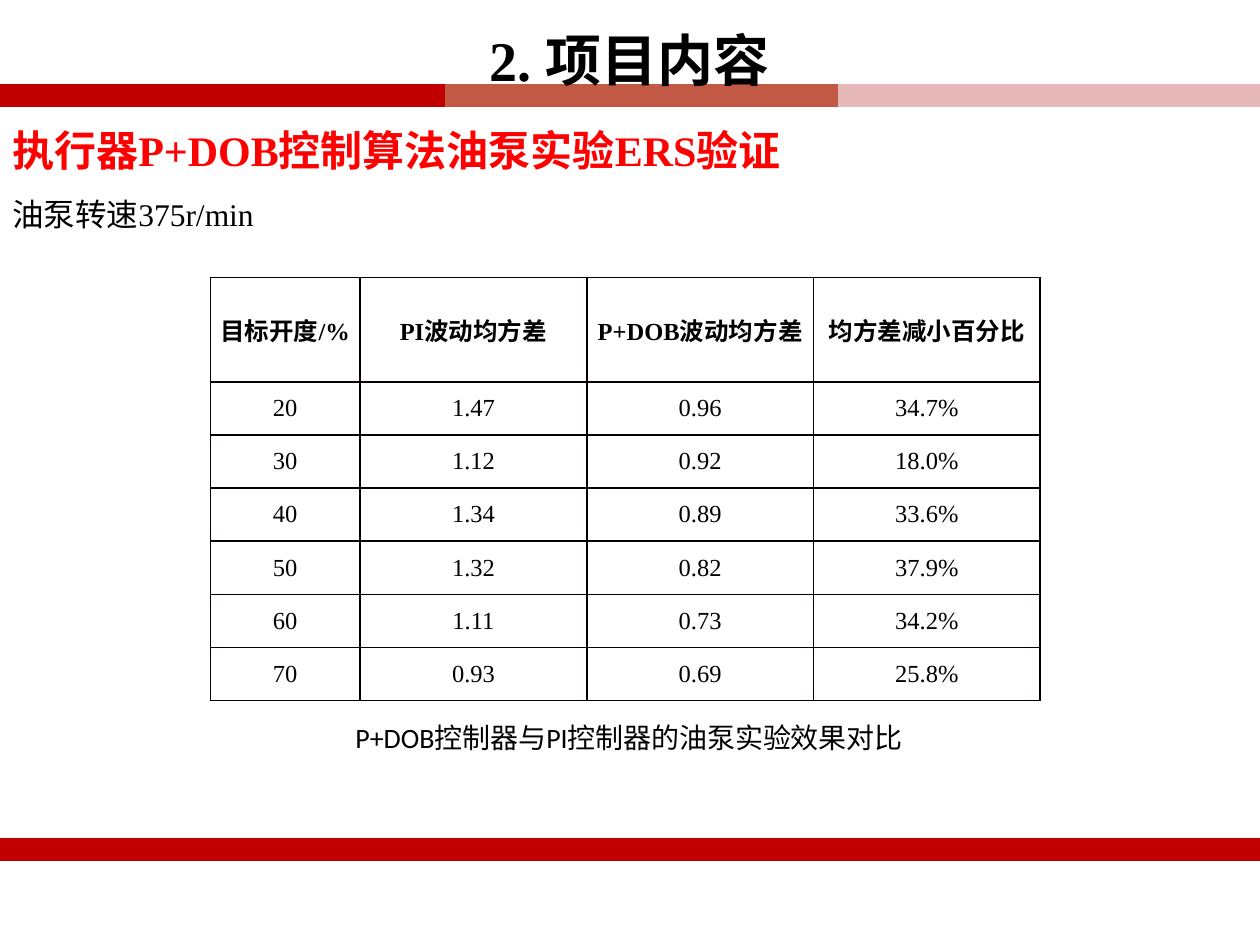
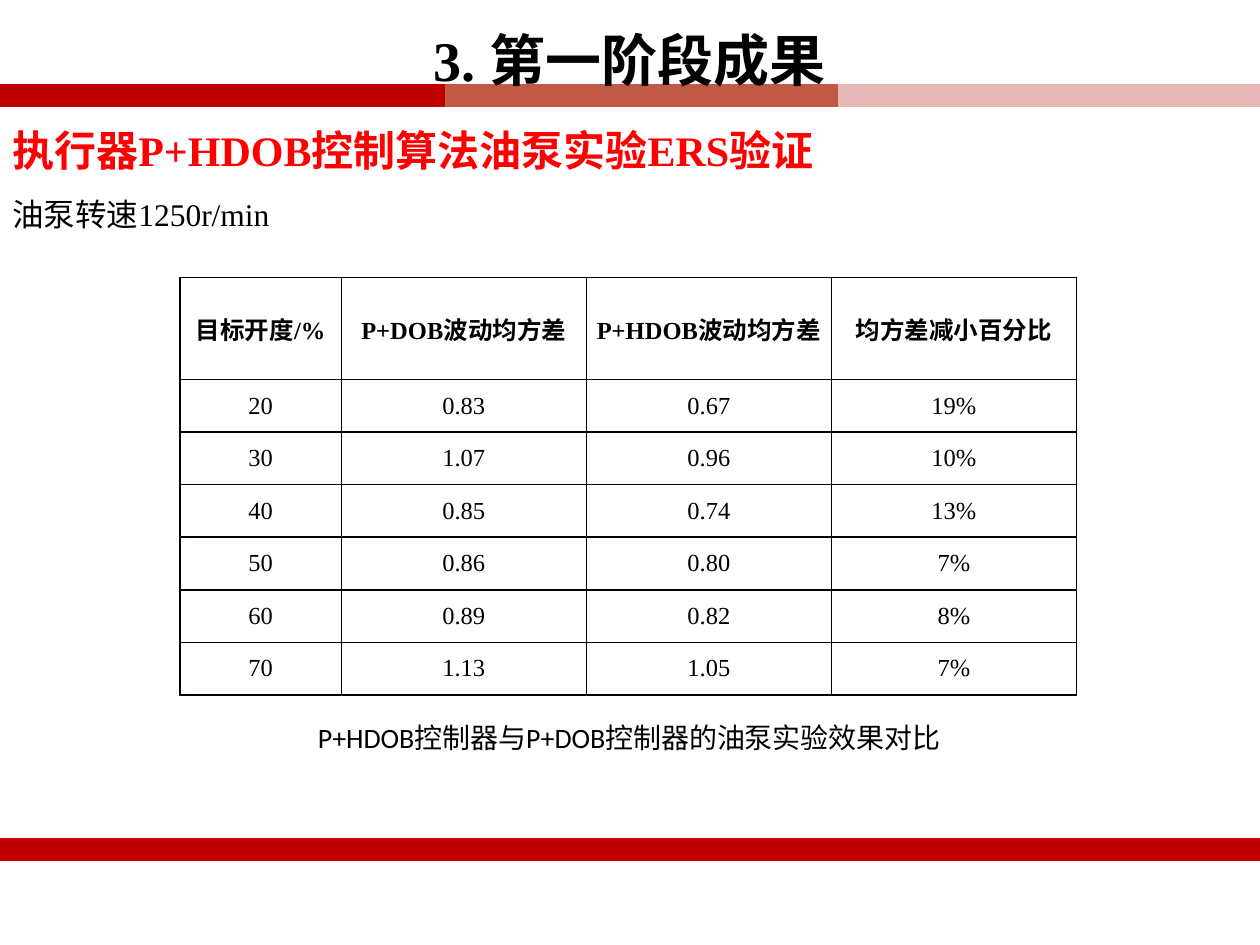
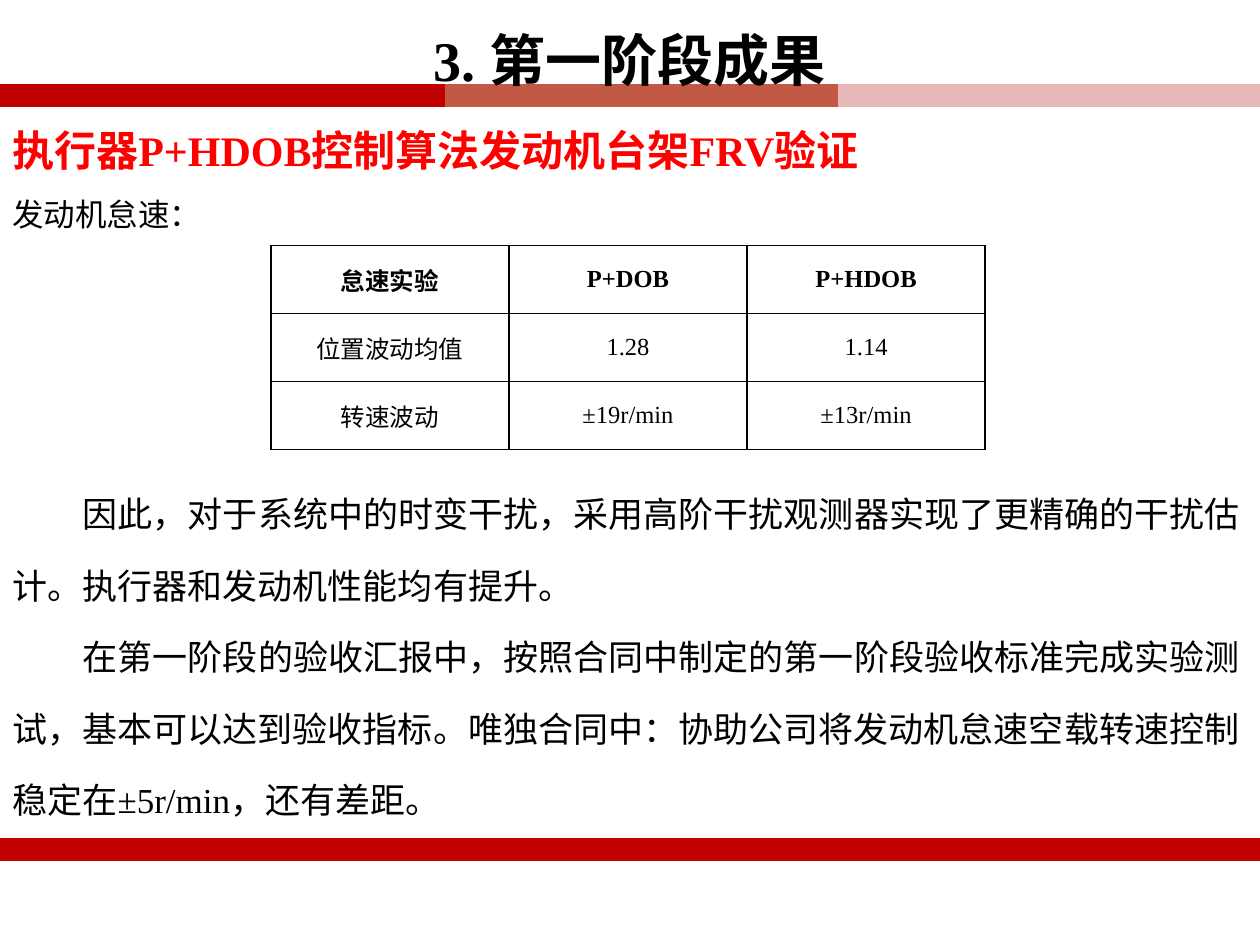
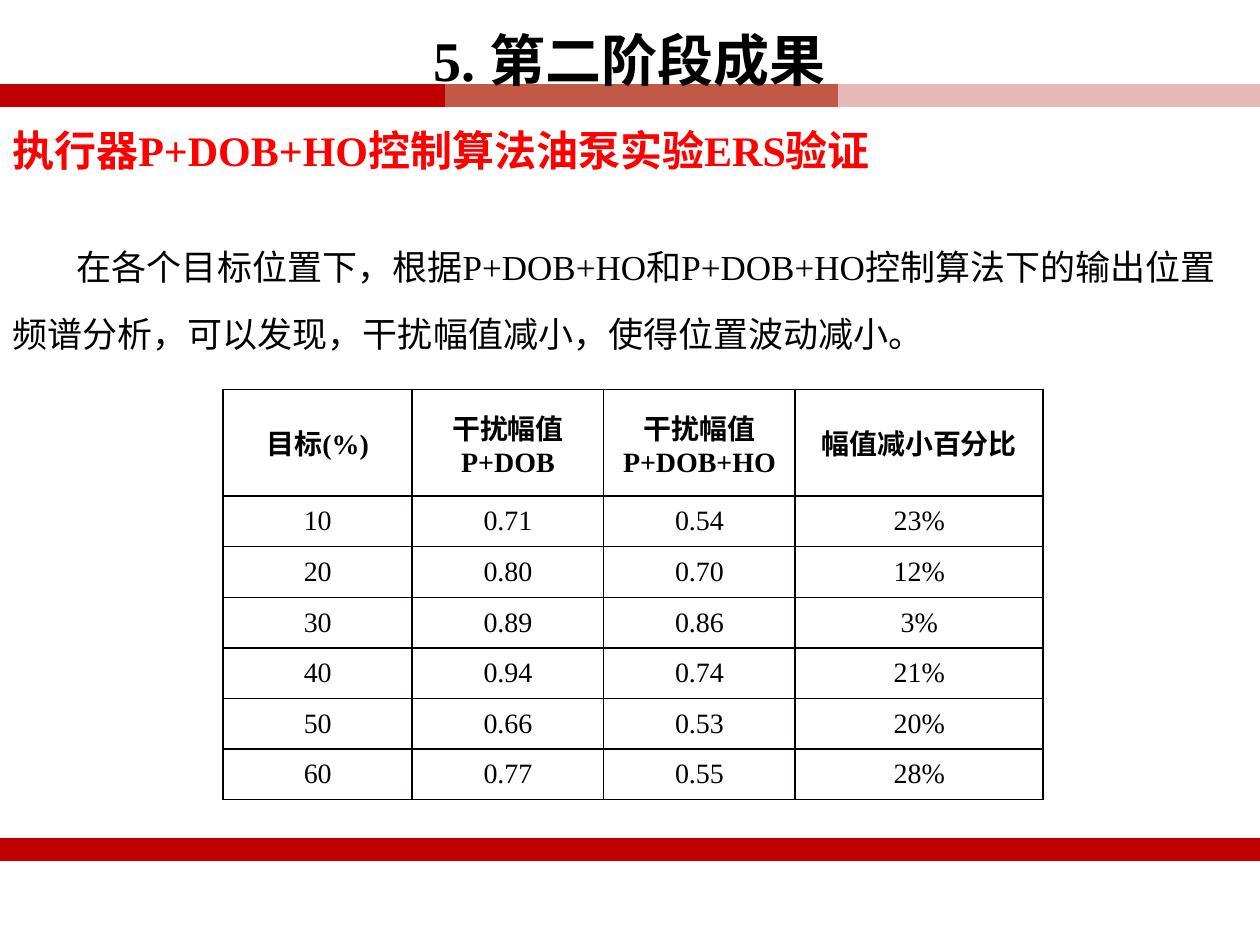
from lxml.etree import SubElement
from pptx import Presentation
from pptx.dml.color import RGBColor
from pptx.enum.shapes import MSO_CONNECTOR
from pptx.enum.text import MSO_ANCHOR, MSO_AUTO_SIZE, PP_ALIGN
from pptx.oxml.ns import qn
from pptx.util import Cm, Pt

DARK_RED = RGBColor(0xC0, 0x00, 0x00)
BRICK = RGBColor(0xC2, 0x59, 0x44)
PINK = RGBColor(0xE6, 0xB9, 0xB8)
RED = RGBColor(0xFF, 0x00, 0x00)
BLACK = RGBColor(0x00, 0x00, 0x00)
GRID = RGBColor(0x08, 0x00, 0x00)
SERIF = "Times New Roman"
SANS = "Calibri"
WIDTH = 25.4

# Shared bands: left, right, height on the slide, colour
BANDS = [
    (0, WIDTH, 17.12, DARK_RED),
    (0, 8.97, 1.93, DARK_RED),
    (8.97, 16.89, 1.93, BRICK),
    (16.89, WIDTH, 1.93, PINK),
]

# Content of the slides; body is (top, height, line spacing, indent, paragraphs)
SLIDES = [
    {
        "title": "2. 项目内容",
        "heading": "执行器P+DOB控制算法油泵实验ERS验证",
        "note": "油泵转速375r/min",
        "caption": "P+DOB控制器与PI控制器的油泵实验效果对比",
        "place": (4.24, 5.59),
        "columns": [3.02, 4.57, 4.57, 4.57],
        "heights": (2.11, 1.07),
        "size": 14,
        "rows": [
            ["目标开度/%", "PI波动均方差", "P+DOB波动均方差", "均方差减小百分比"],
            ["20", "1.47", "0.96", "34.7%"],
            ["30", "1.12", "0.92", "18.0%"],
            ["40", "1.34", "0.89", "33.6%"],
            ["50", "1.32", "0.82", "37.9%"],
            ["60", "1.11", "0.73", "34.2%"],
            ["70", "0.93", "0.69", "25.8%"],
        ],
    },
    {
        "title": "3. 第一阶段成果",
        "heading": "执行器P+HDOB控制算法油泵实验ERS验证",
        "note": "油泵转速1250r/min",
        "caption": "P+HDOB控制器与P+DOB控制器的油泵实验效果对比",
        "place": (3.63, 5.59),
        "columns": [3.25, 4.94, 4.94, 4.94],
        "heights": (2.06, 1.06),
        "size": 14,
        "rows": [
            ["目标开度/%", "P+DOB波动均方差", "P+HDOB波动均方差", "均方差减小百分比"],
            ["20", "0.83", "0.67", "19%"],
            ["30", "1.07", "0.96", "10%"],
            ["40", "0.85", "0.74", "13%"],
            ["50", "0.86", "0.80", "7%"],
            ["60", "0.89", "0.82", "8%"],
            ["70", "1.13", "1.05", "7%"],
        ],
    },
    {
        "title": "3. 第一阶段成果",
        "heading": "执行器P+HDOB控制算法发动机台架FRV验证",
        "note": "发动机怠速：",
        "place": (5.46, 4.95),
        "columns": [4.8, 4.8, 4.8],
        "heights": (1.37, 1.37),
        "size": 14,
        "rows": [
            ["怠速实验", "P+DOB", "P+HDOB"],
            ["位置波动均值", "1.28", "1.14"],
            ["转速波动", "±19r/min", "±13r/min"],
        ],
        "body": (9.22, 7.52, 1.7, 1.42, [
            "因此，对于系统中的时变干扰，采用高阶干扰观测器实现了更精确的干扰估计。"
            "执行器和发动机性能均有提升。",
            "在第一阶段的验收汇报中，按照合同中制定的第一阶段验收标准完成实验测试，"
            "基本可以达到验收指标。唯独合同中：协助公司将发动机怠速空载转速控制"
            "稳定在±5r/min，还有差距。",
        ]),
    },
    {
        "title": "5. 第二阶段成果",
        "heading": "执行器P+DOB+HO控制算法油泵实验ERS验证",
        "place": (4.5, 7.85),
        "columns": [3.81, 3.86, 3.86, 5.0],
        "heights": (2.15, 1.02),
        "size": 16,
        "rows": [
            ["目标(%)", "干扰幅值 P+DOB", "干扰幅值 P+DOB+HO", "幅值减小百分比"],
            ["10", "0.71", "0.54", "23%"],
            ["20", "0.80", "0.70", "12%"],
            ["30", "0.89", "0.86", "3%"],
            ["40", "0.94", "0.74", "21%"],
            ["50", "0.66", "0.53", "20%"],
            ["60", "0.77", "0.55", "28%"],
        ],
        "body": (4.32, 3.0, 1.6, 1.3, [
            "在各个目标位置下，根据P+DOB+HO和P+DOB+HO控制算法下的输出位置频谱分析，"
            "可以发现，干扰幅值减小，使得位置波动减小。",
        ]),
    },
]


def add_run(paragraph, text, size, color=BLACK, bold=False, font=SERIF):
    run = paragraph.add_run()
    run.text = text
    run.font.name = font
    run.font.size = Pt(size)
    run.font.bold = bold
    run.font.color.rgb = color


def add_text(slide, top, width, height, texts, size, align=PP_ALIGN.LEFT,
             spacing=1.5, indent=0, **style):
    box = slide.shapes.add_textbox(Cm(0), Cm(top), Cm(width), Cm(height))
    frame = box.text_frame
    frame.word_wrap = True
    frame.auto_size = MSO_AUTO_SIZE.SHAPE_TO_FIT_TEXT
    for number, text in enumerate(texts):
        paragraph = frame.add_paragraph() if number else frame.paragraphs[0]
        paragraph.alignment = align
        paragraph.line_spacing = spacing
        if indent:
            paragraph._p.get_or_add_pPr().set("indent", str(Cm(indent)))
        add_run(paragraph, text, size, **style)


prs = Presentation()
prs.slide_width = Cm(WIDTH)
prs.slide_height = Cm(19.05)

for content in SLIDES:
    slide = prs.slides.add_slide(prs.slide_layouts[6])

    # Bands
    for left, right, y, color in BANDS:
        band = slide.shapes.add_connector(
            MSO_CONNECTOR.STRAIGHT, Cm(left), Cm(y), Cm(right), Cm(y))
        band.line.color.rgb = color
        band.line.width = Pt(13)
        SubElement(band._element.spPr, qn("a:effectLst"))

    # Title, heading and the texts around the table
    add_text(slide, -0.28, WIDTH, 2.31, [content["title"]], 32,
             align=PP_ALIGN.CENTER, bold=True)
    add_text(slide, 1.88, WIDTH, 1.8, [content["heading"]], 24, color=RED, bold=True)
    if "caption" in content:
        add_text(slide, 14.4, 25.37, 0.94, [content["caption"]], 16,
                 align=PP_ALIGN.CENTER, spacing=1.0, font=SANS)
    if "note" in content:
        add_text(slide, 3.43, 25.22, 1.4, [content["note"]], 18, align=PP_ALIGN.JUSTIFY)
    if "body" in content:
        top, height, spacing, indent, paragraphs = content["body"]
        add_text(slide, top, WIDTH, height, paragraphs, 20, spacing=spacing, indent=indent)

    # Table of results
    rows, columns = content["rows"], content["columns"]
    left, top = content["place"]
    head_height, row_height = content["heights"]
    results = slide.shapes.add_table(
        len(rows), len(columns), Cm(left), Cm(top), Cm(sum(columns)),
        Cm(head_height + row_height * (len(rows) - 1))).table
    results.first_row = False
    results.horz_banding = False
    for column, width in zip(results.columns, columns):
        column.width = Cm(width)
    for r, values in enumerate(rows):
        results.rows[r].height = Cm(row_height if r else head_height)
        for c, value in enumerate(values):
            cell = results.cell(r, c)
            cell.vertical_anchor = MSO_ANCHOR.MIDDLE
            cell.margin_left = cell.margin_right = Cm(0.18)
            cell.margin_top = cell.margin_bottom = 0
            for side in ("a:lnL", "a:lnR", "a:lnT", "a:lnB"):
                border = SubElement(cell._tc.get_or_add_tcPr(), qn(side), w=str(Pt(1)))
                fill = SubElement(border, qn("a:solidFill"))
                SubElement(fill, qn("a:srgbClr"), val=str(GRID))
            cell.fill.background()
            paragraph = cell.text_frame.paragraphs[0]
            paragraph.alignment = PP_ALIGN.CENTER
            add_run(paragraph, value, content["size"], bold=r == 0)

prs.save("out.pptx")
